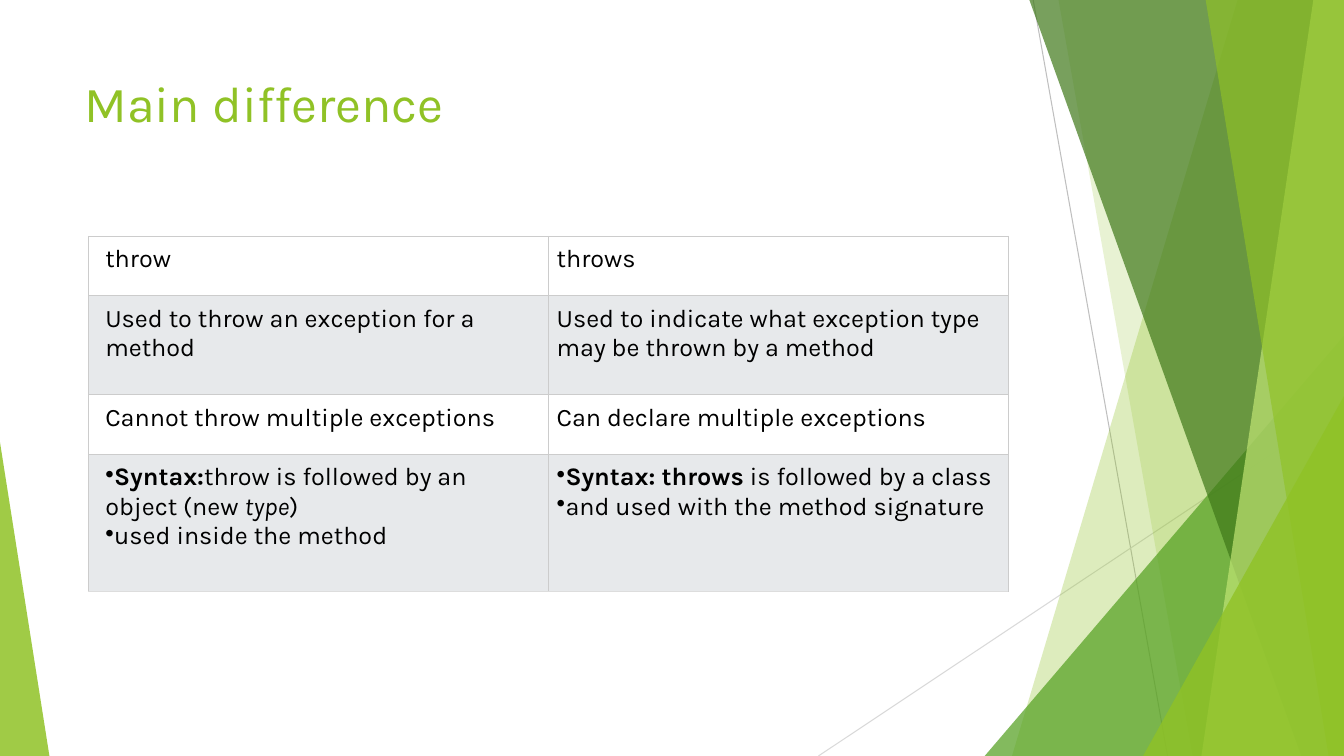
from pptx import Presentation
from pptx.dml.color import RGBColor
from pptx.enum.shapes import MSO_CONNECTOR as Connector, MSO_SHAPE as Preset
from pptx.enum.text import MSO_ANCHOR as Anchor
from pptx.oxml import parse_xml
from pptx.oxml.ns import nsdecls, qn
from pptx.util import Pt

WIDTH, HEIGHT = 960, 540
GREEN, BORDER = "90C226", "CCCCCC"


def color(value):
    return RGBColor.from_string(value)


def add_xml(parent, tag, attributes="", inner=""):
    parent.append(parse_xml(f'<a:{tag} {nsdecls("a")} {attributes}>{inner}</a:{tag}>'))


def write(para, text, font="Karla", size=18, fill="000000", bold=False, italic=False):
    span = para.add_run()
    span.text = text
    span.font.name = font
    span.font.size = Pt(size)
    span.font.color.rgb = color(fill)
    span.font.bold = bold
    span.font.italic = italic


class SlideBuilder:
    def __init__(self, page):
        self.page = page
        self.shapes = page.shapes

    def line(self, start, end, fill):
        line = self.shapes.add_connector(Connector.STRAIGHT, *map(Pt, start + end))
        line.line.color.rgb = color(fill)
        line.line.width = Pt(0.75)
        add_xml(line._element.spPr, "effectLst")

    def paint(self, shape, fill, opacity):
        shape.shadow.inherit = False
        shape.fill.solid()
        shape.fill.fore_color.rgb = color(fill)
        shape.line.fill.background()
        tint = next(shape._element.spPr.iter(qn("a:srgbClr")))
        add_xml(tint, "alpha", f'val="{opacity * 1000}"')

    def band(self, top_x, bottom_x, fill, opacity):
        outline = self.shapes.build_freeform(Pt(top_x), Pt(-0.6))
        corners = [(WIDTH, -0.6), (WIDTH, HEIGHT), (bottom_x, HEIGHT)]
        outline.add_line_segments([(Pt(x), Pt(y)) for x, y in corners], close=True)
        self.paint(outline.convert_to_shape(), fill, opacity)

    def triangle(self, left, top, right, peak, fill, opacity):
        size = (left, top, right - left, HEIGHT - top)
        shape = self.shapes.add_shape(Preset.ISOSCELES_TRIANGLE, *map(Pt, size))
        shape.adjustments[0] = peak
        self.paint(shape, fill, opacity)

    def title(self, text, left, top, width, height):
        box = self.shapes.add_textbox(*map(Pt, (left, top, width, height)))
        box.text_frame.word_wrap = True
        box.text_frame.vertical_anchor = Anchor.TOP
        write(box.text_frame.paragraphs[0], text, size=36, fill=GREEN)

    def cell(self, cell, paras, left_margin, fill, bottom, bullets):
        cell.margin_left = Pt(left_margin)
        cell.margin_top = cell.margin_right = cell.margin_bottom = Pt(6)
        cell.vertical_anchor = Anchor.TOP
        for side, shade in zip("LRTB", (BORDER, BORDER, BORDER, bottom)):
            add_xml(cell._tc.get_or_add_tcPr(), f"ln{side}", f'w="{Pt(0.75)}"',
                    f'<a:solidFill><a:srgbClr val="{shade}"/></a:solidFill>')
        cell.fill.solid()
        cell.fill.fore_color.rgb = color(fill)
        frame = cell.text_frame
        for index, spans in enumerate(paras):
            para = frame.add_paragraph() if index else frame.paragraphs[0]
            if bullets:
                settings = para._p.get_or_add_pPr()
                settings.set("marL", "0")
                settings.set("indent", "0")
                add_xml(settings, "buChar", 'char="•"')
            for text, style in spans:
                write(para, text, **style)

    def table(self, rows, left, top, column_width, row_heights):
        columns = len(rows[0])
        frame = self.shapes.add_table(len(rows), columns, Pt(left), Pt(top),
                                      Pt(column_width * columns), Pt(sum(row_heights)))
        table = frame.table
        table.first_row = table.horz_banding = False
        for column in table.columns:
            column.width = Pt(column_width)
        for r, (row, height) in enumerate(zip(rows, row_heights)):
            table.rows[r].height = Pt(height)
            last = r == len(rows) - 1
            for c, paras in enumerate(row):
                self.cell(table.cell(r, c), paras, left_margin=6 if c else 12,
                          fill="E7E9EB" if r % 2 else "FFFFFF",
                          bottom="DDDDDD" if last else BORDER, bullets=last)


def plain(text):
    return [(text, {})]


BOLD, ITALIC = {"bold": True}, {"italic": True}
COMPARISON = [
    [[plain("throw")], [plain("throws")]],
    [[plain("Used to throw an exception for a method")],
     [plain("Used to indicate what exception type may be thrown by a method")]],
    [[plain("Cannot throw multiple exceptions")],
     [plain("Can declare multiple exceptions")]],
    [[[("Syntax:", BOLD), ("throw\u00a0is followed by an object (new\u00a0", {}),
       ("type", ITALIC), (")", {})],
      plain("used inside the method")],
     [[("Syntax: throws", BOLD), ("\u00a0is followed by a class", {})],
      plain("and used with the method signature")]],
]

deck = Presentation()
deck.slide_width, deck.slide_height = Pt(WIDTH), Pt(HEIGHT)
builder = SlideBuilder(deck.slides.add_slide(deck.slide_layouts[6]))

builder.line((738, 0), (834, HEIGHT), "BFBFBF")
builder.line((WIDTH, 290), (584.6, HEIGHT), "D9D9D9")
builder.band(884.2, 722.9, GREEN, 30)
builder.band(756, 851.8, GREEN, 20)
builder.triangle(703.4, 239.8, WIDTH, 1, "54A021", 72)
builder.band(735.1, 929.5, "3F7819", 70)
builder.band(938.2, 858.2, "C0E474", 70)
builder.band(861.1, 949, GREEN, 65)
builder.triangle(816.5, 283, WIDTH, 1, GREEN, 80)
builder.triangle(0, 316, 35.3, 0, GREEN, 85)
builder.title("Main difference", 53.3, 48, 676.8, 104)
builder.table(COMPARISON, 63.2, 168.8, 328.4, [42.5, 70.5, 42.5, 98])

deck.save("out.pptx")
